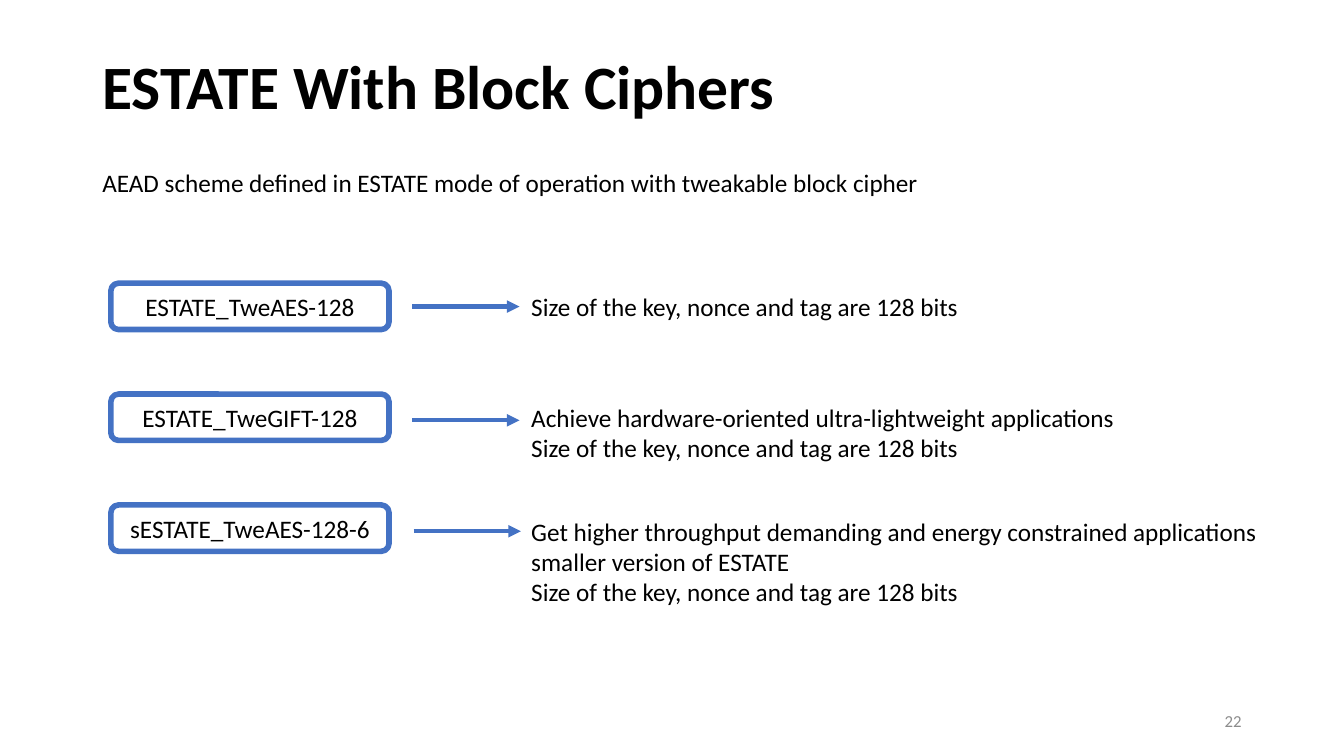
"""Build the slide on ESTATE with block ciphers."""
from lxml import etree
from pptx import Presentation
from pptx.dml.color import RGBColor
from pptx.enum import shapes, text
from pptx.oxml import ns
from pptx.util import Pt

BLUE, BLACK, WHITE, GREY = "4472C4", "000000", "FFFFFF", "8C8C8C"
KEY_SIZES = "Size of the key, nonce and tag are 128 bits"


def paint(color_format, hex_color):
    color_format.rgb = RGBColor.from_string(hex_color)


def write(frame, lines, size=18, color=BLACK, align=text.PP_ALIGN.LEFT, bold=False):
    for number, line in enumerate(lines):
        paragraph = frame.add_paragraph() if number else frame.paragraphs[0]
        paragraph.alignment = align
        run = paragraph.add_run()
        run.text = line
        run.font.name, run.font.size, run.font.bold = "Calibri", Pt(size), bold
        paint(run.font.color, color)


deck = Presentation()
deck.slide_width, deck.slide_height = Pt(960), Pt(540)
slide = deck.slides.add_slide(deck.slide_layouts[5])

heading = slide.shapes.title
heading.left, heading.top, heading.width, heading.height = Pt(66), Pt(28.8), Pt(828), Pt(70.5)
heading.text_frame.vertical_anchor = text.MSO_ANCHOR.MIDDLE
write(heading.text_frame, ["ESTATE With Block Ciphers"], size=44, bold=True)
heading.text_frame.paragraphs[0].line_spacing = 0.9

ciphers = [
    ("ESTATE_TweAES-128", 294.5, 219, 204.5, [KEY_SIZES]),
    ("ESTATE_TweGIFT-128", 294.5, 300.2, 283.7,
     ["Achieve hardware-oriented ultra-lightweight applications", KEY_SIZES]),
    ("sESTATE_TweAES-128-6", 295.5, 379.5, 365,
     ["Get higher throughput demanding and energy constrained applications",
      "smaller version of ESTATE", KEY_SIZES]),
]
notes = [(66, 116, 608.4, ["AEAD scheme defined in ESTATE mode of operation with tweakable block cipher"])]

for row, (cipher, arrow_left, arrow_y, note_top, features) in enumerate(ciphers):
    box = slide.shapes.add_shape(shapes.MSO_SHAPE.ROUNDED_RECTANGLE,
                                 Pt(79.2), Pt(202.3 + 79.2 * row), Pt(198.7), Pt(33.1))
    box.shadow.inherit = False
    box.fill.solid()
    paint(box.fill.fore_color, WHITE)
    paint(box.line.color, BLUE)
    box.line.width = Pt(4)
    box.text_frame.vertical_anchor = text.MSO_ANCHOR.MIDDLE
    write(box.text_frame, [cipher], align=text.PP_ALIGN.CENTER)

    arrow = slide.shapes.add_connector(shapes.MSO_CONNECTOR.STRAIGHT, Pt(arrow_left), Pt(arrow_y),
                                       Pt(arrow_left + 76.6), Pt(arrow_y))
    paint(arrow.line.color, BLUE)
    arrow.line.width = Pt(3)
    etree.SubElement(arrow.line._get_or_add_ln(), ns.qn("a:tailEnd"), type="triangle")
    etree.SubElement(arrow._element.spPr, ns.qn("a:effectLst"))

    notes.append((372.4, note_top, 540, features))

for left, top, width, lines in notes:
    note = slide.shapes.add_textbox(Pt(left), Pt(top), Pt(width), Pt(7.2 + 21.6 * len(lines)))
    note.text_frame.word_wrap = False
    write(note.text_frame, lines)

page = slide.shapes.add_textbox(Pt(678), Pt(500.5), Pt(216), Pt(28.8))
page.text_frame.word_wrap = True
page.text_frame.vertical_anchor = text.MSO_ANCHOR.MIDDLE
write(page.text_frame, ["22"], size=12, color=GREY, align=text.PP_ALIGN.RIGHT)

deck.save("out.pptx")
